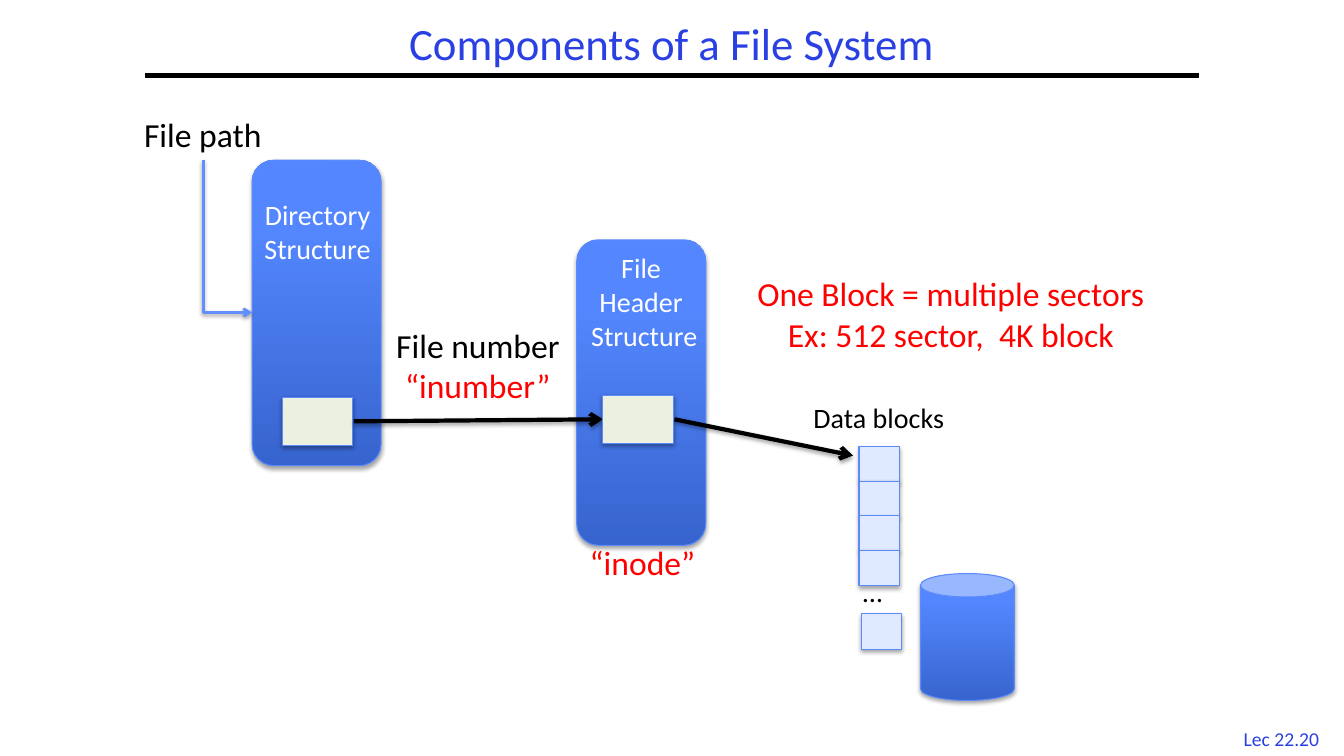
"""Build a slide showing the components of a file system."""
from copy import deepcopy

from lxml import etree
from pptx import Presentation, util as u
from pptx.dml.color import RGBColor
from pptx.enum import shapes, text
from pptx.oxml import ns

BLACK, WHITE, RED, TITLE_BLUE = "000000", "FFFFFF", "FF0000", "2A40E2"
EDGE, RECORD, BLOCK = "5B8AFB", "EBF1DE", "DFE9FF"
GRADIENT = [(0, "3764CE"), (0.8, "5487FF"), (1, "5688FF")]
CENTER, LEFT = text.PP_ALIGN.CENTER, text.PP_ALIGN.LEFT
KIND = shapes.MSO_SHAPE


def color(value):
    return RGBColor.from_string(value)


class Diagram:
    def __init__(self, slide, font="Calibri"):
        self.slide = slide
        self.font = font

    def label(self, box, lines, size, ink, align=LEFT, wrap=False):
        frame = self.slide.shapes.add_textbox(*map(u.Inches, box)).text_frame
        frame.word_wrap = wrap
        if not wrap:
            frame.auto_size = text.MSO_AUTO_SIZE.SHAPE_TO_FIT_TEXT
        for i, line in enumerate(lines):
            paragraph = frame.add_paragraph() if i else frame.paragraphs[0]
            paragraph.alignment = align
            run = paragraph.add_run()
            run.text = line
            run.font.name = self.font
            run.font.size = u.Pt(size)
            run.font.color.rgb = color(ink)
        return frame

    def shadow(self, effects, distance, opacity):
        outer = etree.SubElement(effects, ns.qn("a:outerShdw"), blurRad="40000",
                                 dist=str(distance), dir="5400000", rotWithShape="0")
        shade = etree.SubElement(outer, ns.qn("a:srgbClr"), val=BLACK)
        etree.SubElement(shade, ns.qn("a:alpha"), val=str(opacity))

    def solid(self, kind, box, paint=None):
        shape = self.slide.shapes.add_shape(kind, *map(u.Inches, box))
        properties = shape._element.spPr
        if paint:
            shape.fill.solid()
            shape.fill.fore_color.rgb = color(paint)
        else:
            shape.fill.gradient()
            shape.fill.gradient_angle = 90
            stops = properties.find(".//" + ns.qn("a:gsLst"))
            stops.append(deepcopy(stops[-1]))
            for stop, (position, tint) in zip(shape.fill.gradient_stops, GRADIENT):
                stop.position = position
                stop.color.rgb = color(tint)
        shape.line.color.rgb = color(EDGE)
        shape.line.width = u.Pt(0.75)
        shape.shadow.inherit = False
        self.shadow(properties.find(ns.qn("a:effectLst")), 23000, 35000)

    def line(self, start, end, ink=BLACK, width=3, arrow=True,
             kind=shapes.MSO_CONNECTOR.STRAIGHT):
        link = self.slide.shapes.add_connector(kind, *map(u.Inches, start + end))
        link.line.color.rgb = color(ink)
        link.line.width = u.Pt(width)
        properties = link._element.spPr
        effects = etree.SubElement(properties, ns.qn("a:effectLst"))
        if arrow:
            etree.SubElement(properties.find(ns.qn("a:ln")), ns.qn("a:tailEnd"), type="arrow")
            self.shadow(effects, 20000, 38000)
        return properties

    def corner_arrow(self, start, end, ink, width):
        run, drop = end[0] - start[0], end[1] - start[1]
        x, y = (start[0] + end[0]) / 2, (start[1] + end[1]) / 2
        properties = self.line((x + drop / 2, y - run / 2), (x - drop / 2, y + run / 2),
                               ink, width, kind=shapes.MSO_CONNECTOR.ELBOW)
        properties.find(ns.qn("a:xfrm")).set("rot", "16200000")
        properties.find(ns.qn("a:prstGeom")).set("prst", "bentConnector2")


def main():
    deck = Presentation()
    deck.slide_width, deck.slide_height = u.Inches(13.33), u.Inches(7.5)
    diagram = Diagram(deck.slides.add_slide(deck.slide_layouts[6]))

    diagram.label((12.17, 7.16, 1.08, 0.33), ["Lec 22.20"], 14, TITLE_BLUE, CENTER)
    diagram.line((1.44, 0.75), (11.89, 0.75), arrow=False)
    title = diagram.label((1.44, 0.17, 10.44, 0.58), ["Components of a File System"],
                          32, TITLE_BLUE, CENTER, wrap=True)
    title.vertical_anchor = text.MSO_ANCHOR.MIDDLE
    title.paragraphs[0].line_spacing = 0.9

    diagram.label((1.33, 1.08, 1.49, 0.5), ["File path"], 24, BLACK)
    diagram.solid(KIND.ROUNDED_RECTANGLE, (2.5, 1.59, 1.28, 3.03))
    diagram.label((2.48, 1.91, 1.34, 0.77), ["Directory", "Structure"], 20, WHITE, CENTER)
    diagram.corner_arrow((2.02, 1.59), (2.5, 3.1), "618FFD", 2)

    diagram.solid(KIND.ROUNDED_RECTANGLE, (5.72, 2.38, 1.28, 3.03))
    diagram.label((5.72, 2.44, 1.34, 1.11), ["File ", "Header ", "Structure"],
                  20, WHITE, CENTER)
    diagram.solid(KIND.RECTANGLE, (2.8, 3.94, 0.7, 0.48), RECORD)
    diagram.line((3.51, 4.18), (5.98, 4.16))
    diagram.label((3.75, 3.17, 1.98, 0.5), ["File number"], 24, BLACK, CENTER)
    diagram.label((3.91, 3.57, 1.66, 0.5), ["“inumber”"], 24, RED, CENTER)

    diagram.line((6.69, 4.16), (8.46, 4.52))
    diagram.solid(KIND.CAN, (9.13, 5.69, 0.93, 1.26))
    for row in range(4):
        diagram.solid(KIND.RECTANGLE, (8.52, 4.43 + row * 1.03 / 3, 0.4, 0.35), BLOCK)
    diagram.solid(KIND.RECTANGLE, (8.54, 6.09, 0.4, 0.35), BLOCK)
    diagram.label((8.46, 5.65, 0.48, 0.44), ["…"], 20, BLACK)
    diagram.label((7.97, 3.92, 1.67, 0.44), ["Data blocks"], 20, BLACK)
    diagram.label((5.75, 5.33, 1.25, 0.5), ["“inode”"], 24, RED)
    diagram.label((7.19, 2.66, 4.48, 0.91),
                  ["One Block = multiple sectors", "Ex: 512 sector,  4K block"],
                  24, RED, CENTER)
    diagram.solid(KIND.RECTANGLE, (5.98, 3.92, 0.7, 0.48), RECORD)

    deck.save("out.pptx")


if __name__ == "__main__":
    main()
